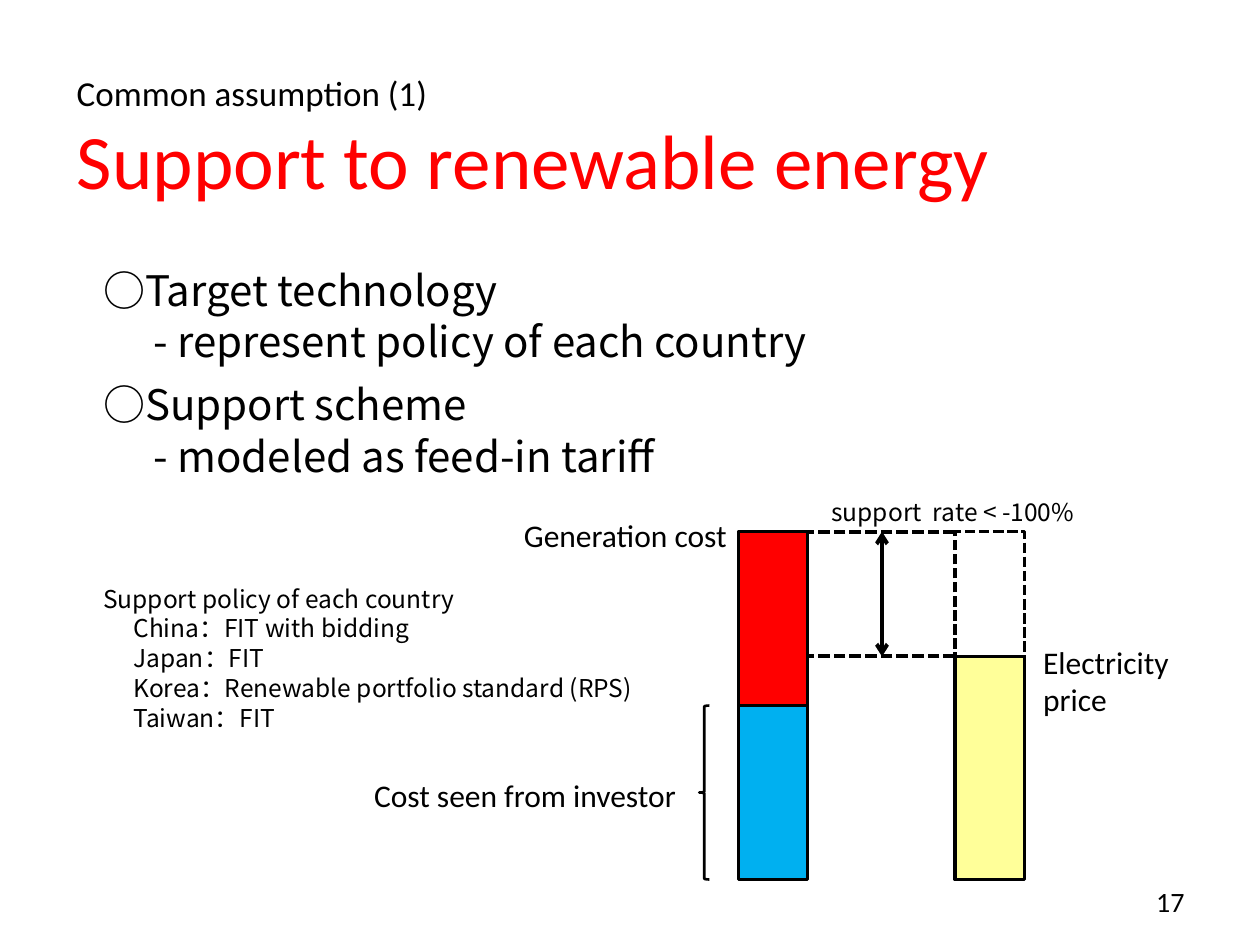
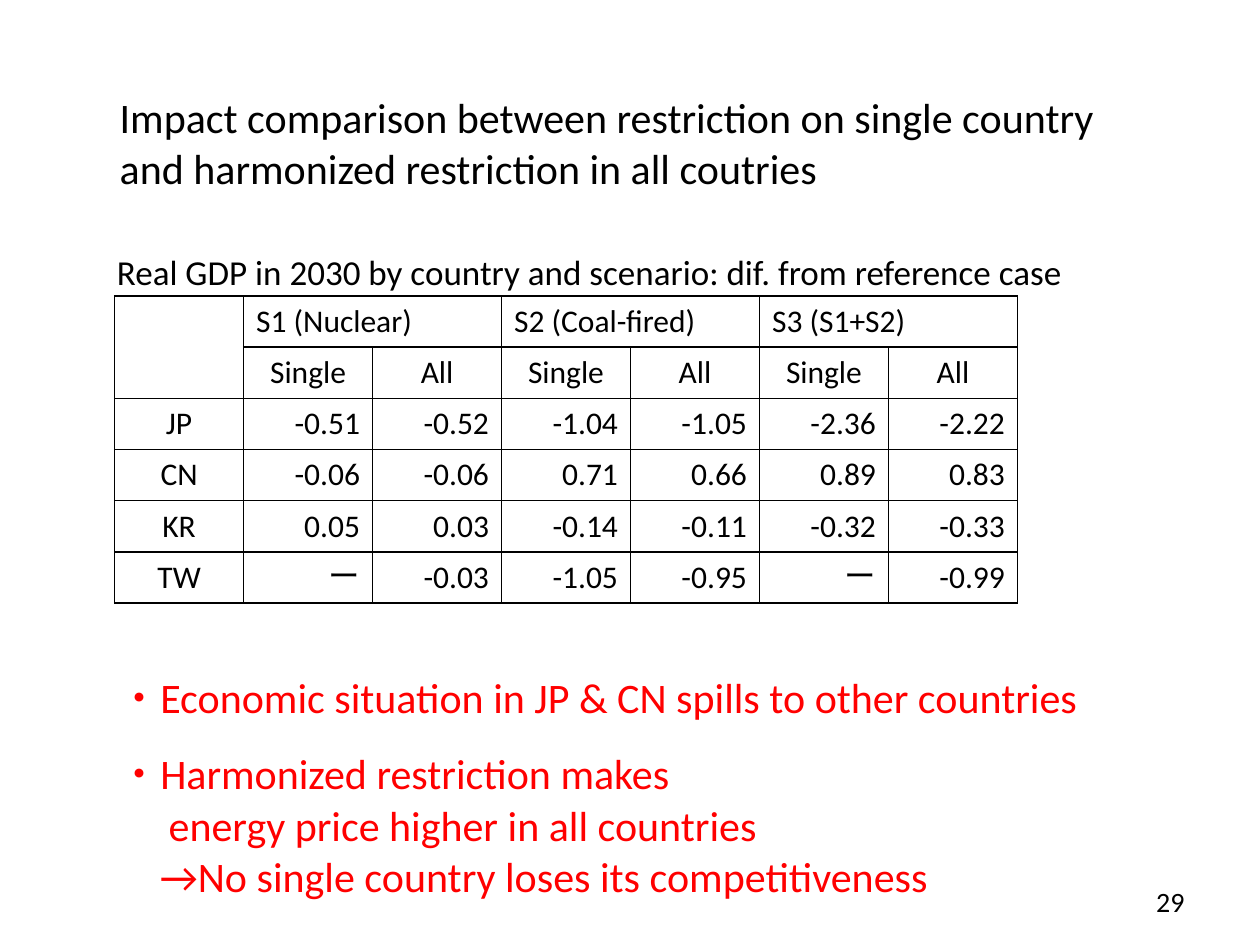
from lxml import etree
from pptx import Presentation
from pptx.dml.color import RGBColor
from pptx.enum import dml, shapes, text
from pptx.oxml.ns import qn
from pptx.util import Inches, Pt

# Shared style
LATIN, CJK = "Calibri", "Noto Sans CJK JP"
BLACK, RED, BLUE, YELLOW = "000000", "FF0000", "00B0F0", "FFFF99"
LEFT, CENTER, RIGHT = text.PP_ALIGN.LEFT, text.PP_ALIGN.CENTER, text.PP_ALIGN.RIGHT
DASH = dml.MSO_LINE.SQUARE_DOT
LEADING = 1.22
TITLE_ONLY = 5

# Content of the support slide: (text, format)
SUPPORT_TITLE = ["Support to renewable energy"]
DEEP = dict(size=24, indent=0.4)
COUNTRY = dict(size=14, indent=0.24)
SUPPORT_POINTS = [
    ("○Target technology", dict(size=24)),
    ("- represent policy of each country", DEEP),
    ("○Support scheme", dict(size=24, before=7)),
    ("- modeled as feed-in tariff", DEEP),
    ("Support policy of each country", dict(size=14, before=58.5)),
    ("China：FIT with bidding", COUNTRY),
    ("Japan：FIT", COUNTRY),
    ("Korea：Renewable portfolio standard (RPS)", COUNTRY),
    ("Taiwan：FIT", COUNTRY),
]
# Labels: lines, position, format
LABELS = [
    (["Common assumption (1)"], (0.51, 0.52, 4.41, 0.44), dict(size=20)),
    (["support  rate < -100%"], (6.5, 3.89, 2.52, 0.34),
     dict(size=14, font=CJK, leading=LEADING)),
    (["Generation cost"], (4.06, 4.05, 1.89, 0.4), dict(size=18)),
    (["Electricity", "price"], (8.18, 5.05, 1.49, 0.71), dict(size=18)),
    (["Cost seen from investor"], (2.87, 6.11, 3.15, 0.4), dict(size=18)),
]

# Content of the impact slide
IMPACT_TITLE = ["Impact comparison between restriction on single country",
                "and harmonized restriction in all coutries"]
CAPTION = "Real GDP in 2030 by country and scenario: dif. from reference case"
SCENARIOS = ["S1 (Nuclear)", "S2 (Coal-fired)", "S3 (S1+S2)"]
SCOPES = ["Single", "All"]
GDP = {
    "JP": ["-0.51", "-0.52", "-1.04", "-1.05", "-2.36", "-2.22"],
    "CN": ["-0.06", "-0.06", "0.71", "0.66", "0.89", "0.83"],
    "KR": ["0.05", "0.03", "-0.14", "-0.11", "-0.32", "-0.33"],
    "TW": ["ー", "-0.03", "-1.05", "-0.95", "ー", "-0.99"],
}
FINDINGS = [
    ("・Economic situation in JP & CN spills to other countries", {}),
    ("・Harmonized restriction makes", dict(before=14.6)),
    ("energy price higher in all countries", dict(indent=0.4)),
    ("→No single country loses its competitiveness", dict(indent=0.33)),
]


def color(value):
    return RGBColor.from_string(value)


def inches(values):
    return [Inches(value) for value in values]


def write(frame, lines, size=18, font=LATIN, ink=BLACK, align=LEFT, leading=None):
    """Fill a frame with lines, each a string or a (string, format) pair."""
    for number, line in enumerate(lines):
        words, form = (line, {}) if isinstance(line, str) else line
        para = frame.paragraphs[0] if number == 0 else frame.add_paragraph()
        points = form.get("size", size)
        spacing = {"alignment": align, "space_before": Pt(form.get("before", 0))}
        if leading:
            spacing["line_spacing"] = Pt(round(points * leading, 1))
        for name, value in spacing.items():
            setattr(para, name, value)
        if "indent" in form:
            para._p.get_or_add_pPr().set("marL", str(Inches(form["indent"])))
        span = para.add_run()
        span.text = words
        for name, value in {"size": Pt(points), "name": font}.items():
            setattr(span.font, name, value)
        span.font.color.rgb = color(ink)
        latin = span._r.rPr.find(qn("a:latin"))
        east = etree.Element(qn("a:ea"), typeface=CJK)
        latin.addnext(east)


def set_frame(frame, wrap=True, anchor=text.MSO_ANCHOR.TOP):
    settings = {"word_wrap": wrap, "vertical_anchor": anchor,
                "auto_size": text.MSO_AUTO_SIZE.NONE}
    for name, value in settings.items():
        setattr(frame, name, value)


def add_text(page, lines, place, wrap=True, anchor=text.MSO_ANCHOR.TOP, **form):
    box = page.shapes.add_textbox(*inches(place))
    set_frame(box.text_frame, wrap, anchor)
    write(box.text_frame, lines, **form)


def add_page(deck, title, place, number, **form):
    """A title-only page with its title and page number."""
    page = deck.slides.add_slide(deck.slide_layouts[TITLE_ONLY])
    holder = page.shapes.title
    for name, value in zip(("left", "top", "width", "height"), inches(place)):
        setattr(holder, name, value)
    set_frame(holder.text_frame, wrap=False)
    write(holder.text_frame, title, **form)
    add_text(page, [number], (7.17, 6.95, 2.33, 0.4), size=16, align=RIGHT,
             anchor=text.MSO_ANCHOR.MIDDLE)
    return page


def set_line(line, width, dash=None):
    line.color.rgb = color(BLACK)
    line.width = Pt(width)
    if dash:
        line.dash_style = dash


def add_block(page, place, fill=None, width=2, dash=None,
              kind=shapes.MSO_SHAPE.RECTANGLE):
    block = page.shapes.add_shape(kind, *inches(place))
    block.shadow.inherit = False
    if fill:
        block.fill.solid()
        block.fill.fore_color.rgb = color(fill)
    else:
        block.fill.background()
    set_line(block.line, width, dash)


def add_line(page, ends, dash=None, arrows=False):
    line = page.shapes.add_connector(shapes.MSO_CONNECTOR.STRAIGHT, *inches(ends))
    set_line(line.line, 2.25, dash)
    if arrows:
        outline = line.line._get_or_add_ln()
        for end in ("a:headEnd", "a:tailEnd"):
            etree.SubElement(outline, qn(end), type="arrow")
    etree.SubElement(line._element.spPr, qn("a:effectLst"))


def support_slide(deck):
    page = add_page(deck, SUPPORT_TITLE, (0.51, 0.84, 7.52, 0.84), "17",
                    size=44, ink=RED)
    add_text(page, SUPPORT_POINTS, (0.72, 2.04, 6.09, 3.8), wrap=False,
             font=CJK, leading=LEADING)

    # Cost bar and price bar
    top, price, bottom = 4.22, 5.21, 6.98
    cost_x, price_x, bar = 5.86, 7.58, 0.55
    split = (top + bottom) / 2
    add_block(page, (cost_x, top, bar, bottom - top), BLUE)
    add_block(page, (price_x, top, bar, price - top), dash=DASH)
    add_block(page, (price_x, price, bar, bottom - price), YELLOW)
    for level in (price, top):
        add_line(page, (price_x, level, cost_x + bar, level), dash=DASH)
    add_block(page, (cost_x, top, bar, split - top), RED)
    add_line(page, (7, top, 7, price), arrows=True)

    # Investor's share and labels
    add_block(page, (5.55, split, 0.08, bottom - split), width=1.5,
              kind=shapes.MSO_SHAPE.LEFT_BRACE)
    for lines, place, form in LABELS:
        add_text(page, lines, place, **form)


def style_cell(cell):
    cell.vertical_anchor = text.MSO_ANCHOR.BOTTOM
    cell.fill.background()
    for position, side in enumerate(("a:lnL", "a:lnR", "a:lnT", "a:lnB")):
        border = etree.Element(qn(side), w=str(Pt(1)))
        fill = etree.SubElement(border, qn("a:solidFill"))
        etree.SubElement(fill, qn("a:srgbClr"), val=BLACK)
        cell._tc.get_or_add_tcPr().insert(position, border)


def add_gdp_table(page):
    columns, rows = 1 + len(SCENARIOS) * len(SCOPES), 2 + len(GDP)
    place = inches((0.91, 2.35, 7.17, 2.43))
    table = page.shapes.add_table(rows, columns, *place).table
    table.first_row = table.horz_banding = False
    for column in table.columns:
        column.width = Inches(1.024)
    for row in table.rows:
        row.height = Inches(0.405)
    for cell in table.iter_cells():
        style_cell(cell)

    # Merged headings, then the rows below them
    table.cell(0, 0).merge(table.cell(1, 0))
    for index, scenario in enumerate(SCENARIOS):
        first = 1 + index * len(SCOPES)
        table.cell(0, first).merge(table.cell(0, first + len(SCOPES) - 1))
        write(table.cell(0, first).text_frame, [scenario], leading=LEADING)
    body = [[""] + SCOPES * len(SCENARIOS)]
    body += [[country] + values for country, values in GDP.items()]
    for r, values in enumerate(body, 1):
        for c, value in enumerate(values):
            if value:
                align = CENTER if r == 1 or c == 0 else RIGHT
                write(table.cell(r, c).text_frame, [value], align=align,
                      leading=LEADING)


def impact_slide(deck):
    page = add_page(deck, IMPACT_TITLE, (0.85, 0.68, 7.97, 0.91), "29", size=24)
    add_gdp_table(page)
    add_text(page, [CAPTION], (0.83, 1.94, 7.77, 0.44), wrap=False, size=20)
    add_text(page, FINDINGS, (0.84, 5.27, 7.88, 1.92), wrap=False, size=24,
             ink=RED, leading=LEADING)


def main():
    deck = Presentation()
    deck.slide_width, deck.slide_height = inches((10, 7.5))
    support_slide(deck)
    impact_slide(deck)
    deck.save("out.pptx")


if __name__ == "__main__":
    main()
